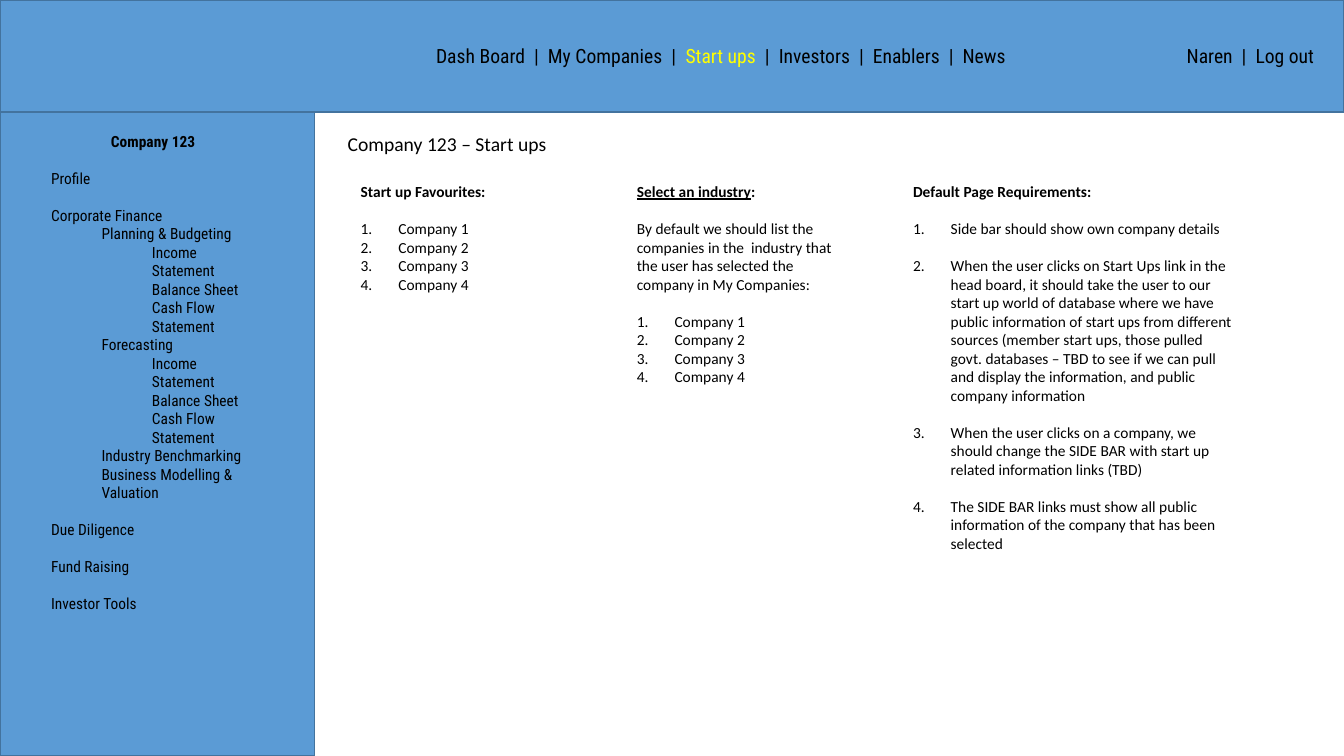
from dataclasses import dataclass

from lxml.etree import SubElement
from pptx import Presentation
from pptx.dml.color import RGBColor
from pptx.enum.shapes import MSO_SHAPE as Preset
from pptx.enum.text import PP_ALIGN as Align
from pptx.oxml.ns import qn
from pptx.util import Cm, Pt


@dataclass(frozen=True)
class Theme:
    panel: RGBColor = RGBColor(0x5B, 0x9B, 0xD5)
    border: RGBColor = RGBColor(0x43, 0x73, 0x9E)
    ink: RGBColor = RGBColor(0, 0, 0)
    active: RGBColor = RGBColor(0xFF, 0xFF, 0)
    menu_font: str = "Roboto Condensed"
    body_font: str = "Calibri"
    heading: Pt = Pt(14)
    body: Pt = Pt(11)
    gap: Pt = Pt(13.2)
    level_indent: Cm = Cm(1.27)
    number_indent: Cm = Cm(0.95)


THEME = Theme()
WIDTH, HEIGHT = 33.87, 19.05
HEADER_HEIGHT, SIDEBAR_WIDTH = 2.82, 7.93

MENU = [
    (0, "Profile"),
    (0, "Corporate Finance"),
    (1, "Planning & Budgeting"),
    (2, "Income Statement"),
    (2, "Balance Sheet"),
    (2, "Cash Flow Statement"),
    (1, "Forecasting"),
    (2, "Income Statement"),
    (2, "Balance Sheet"),
    (2, "Cash Flow Statement"),
    (1, "Industry Benchmarking"),
    (1, "Business Modelling & Valuation"),
    (0, "Due Diligence"),
    (0, "Fund Raising"),
    (0, "Investor Tools"),
]
COMPANIES = [f"Company {number}" for number in range(1, 5)]
INDUSTRY_NOTE = (
    "By default we should list the companies in the  industry that "
    "the user has selected the company in My Companies:"
)
REQUIREMENTS = [
    "Side bar should show own company details",
    "When the user clicks on Start Ups link in the head board, it should take "
    "the user to our start up world of database where we have public "
    "information of start ups from different sources (member start ups, those "
    "pulled govt. databases – TBD to see if we can pull and display the "
    "information, and public company information",
    "When the user clicks on a company, we should change the SIDE BAR with "
    "start up related information links (TBD)",
    "The SIDE BAR links must show all public information of the company that "
    "has been selected",
]


def add_panel(slide, left, top, width, height):
    panel = slide.shapes.add_shape(
        Preset.RECTANGLE, Cm(left), Cm(top), Cm(width), Cm(height))
    panel.shadow.inherit = False
    panel.fill.solid()
    panel.fill.fore_color.rgb = THEME.panel
    panel.line.color.rgb = THEME.border
    panel.line.width = Pt(1)


def add_text(slide, left, top, width, height, lines, wrap=True):
    """Add a text box with one paragraph per line and return its paragraphs."""
    frame = slide.shapes.add_textbox(
        Cm(left), Cm(top), Cm(width), Cm(height)).text_frame
    frame.word_wrap = wrap
    frame.text = "\n".join(lines)
    return frame.paragraphs


def style(paragraph, font_name, size, bold=False):
    for run in paragraph.runs:
        run.font.name = font_name
        run.font.size = size
        run.font.bold = bold
        run.font.color.rgb = THEME.ink


def number(paragraph):
    properties = paragraph._p.get_or_add_pPr()
    properties.set("marL", str(THEME.number_indent))
    properties.set("indent", str(-THEME.number_indent))
    SubElement(properties, qn("a:buFont"), typeface="+mj-lt")
    SubElement(properties, qn("a:buAutoNum"), type="arabicPeriod")


def add_header(slide, left, top, width, height):
    add_panel(slide, left, top, width, height)
    text_top = top + 0.99

    links, = add_text(slide, left + 10.74, text_top, 16.33, 0.86,
                      ["Dash Board  |  My Companies  |  "])
    current_link = links.add_run()
    current_link.text = "Start ups  "
    links.add_run().text = "|  Investors  |  Enablers  |  News"
    style(links, THEME.menu_font, THEME.heading)
    current_link.font.color.rgb = THEME.active

    account, = add_text(slide, left + width - 5.12, text_top, 4.62, 0.86,
                        ["Naren  |  Log out"])
    account.alignment = Align.RIGHT
    style(account, THEME.menu_font, THEME.heading)


def add_sidebar(slide, left, top, width, height):
    add_panel(slide, left, top, width, height)
    company, *entries = add_text(
        slide, left + 1.04, top + 3.2, 5.64, 10.13,
        ["Company 123"] + [label for _, label in MENU])
    company.alignment = Align.CENTER
    style(company, THEME.menu_font, THEME.body, bold=True)
    for entry, (level, _) in zip(entries, MENU):
        style(entry, THEME.menu_font, THEME.body)
        if level:
            entry.level = level
            entry._p.get_or_add_pPr().set("marL", str(level * THEME.level_indent))
        else:
            entry.space_before = THEME.gap


def add_column(slide, left, top, width, height, heading, items,
               intro=None, spaced=False):
    """Place a bold heading, an optional intro and a numbered list."""
    intros = [intro] if intro else []
    title, *rest = add_text(slide, left, top, width, height,
                            [heading, *intros, *items])
    style(title, THEME.body_font, THEME.body, bold=True)
    first_item = len(intros)
    for index, paragraph in enumerate(rest):
        style(paragraph, THEME.body_font, THEME.body)
        if spaced or index <= first_item:
            paragraph.space_before = THEME.gap
        if index >= first_item:
            number(paragraph)
    return title


def add_content(slide, left, top):
    page_title, = add_text(slide, left + 0.58, top + 0.38, 5.56, 0.86,
                           ["Company 123 – Start ups"], wrap=False)
    style(page_title, THEME.body_font, THEME.heading)

    first, step, column_top = left + 0.91, 6.96, top + 1.65
    add_column(slide, first, column_top, 5.49, 3.07,
               "Start up Favourites:", COMPANIES)
    industry = add_column(slide, first + step, column_top, 5.49, 5.44,
                          "Select an industry", COMPANIES, INDUSTRY_NOTE)
    industry.runs[0].font.underline = True
    industry.add_run().text = ":"
    style(industry, THEME.body_font, THEME.body, bold=True)
    add_column(slide, first + 2 * step, column_top, 8.66, 10.13,
               "Default Page Requirements:", REQUIREMENTS, spaced=True)


def main():
    deck = Presentation()
    deck.slide_width, deck.slide_height = Cm(WIDTH), Cm(HEIGHT)
    slide = deck.slides.add_slide(deck.slide_layouts[6])
    add_sidebar(slide, 0, 0, SIDEBAR_WIDTH, HEIGHT)
    add_header(slide, 0, 0, WIDTH, HEADER_HEIGHT)
    add_content(slide, SIDEBAR_WIDTH, HEADER_HEIGHT)
    deck.save("out.pptx")


if __name__ == "__main__":
    main()
